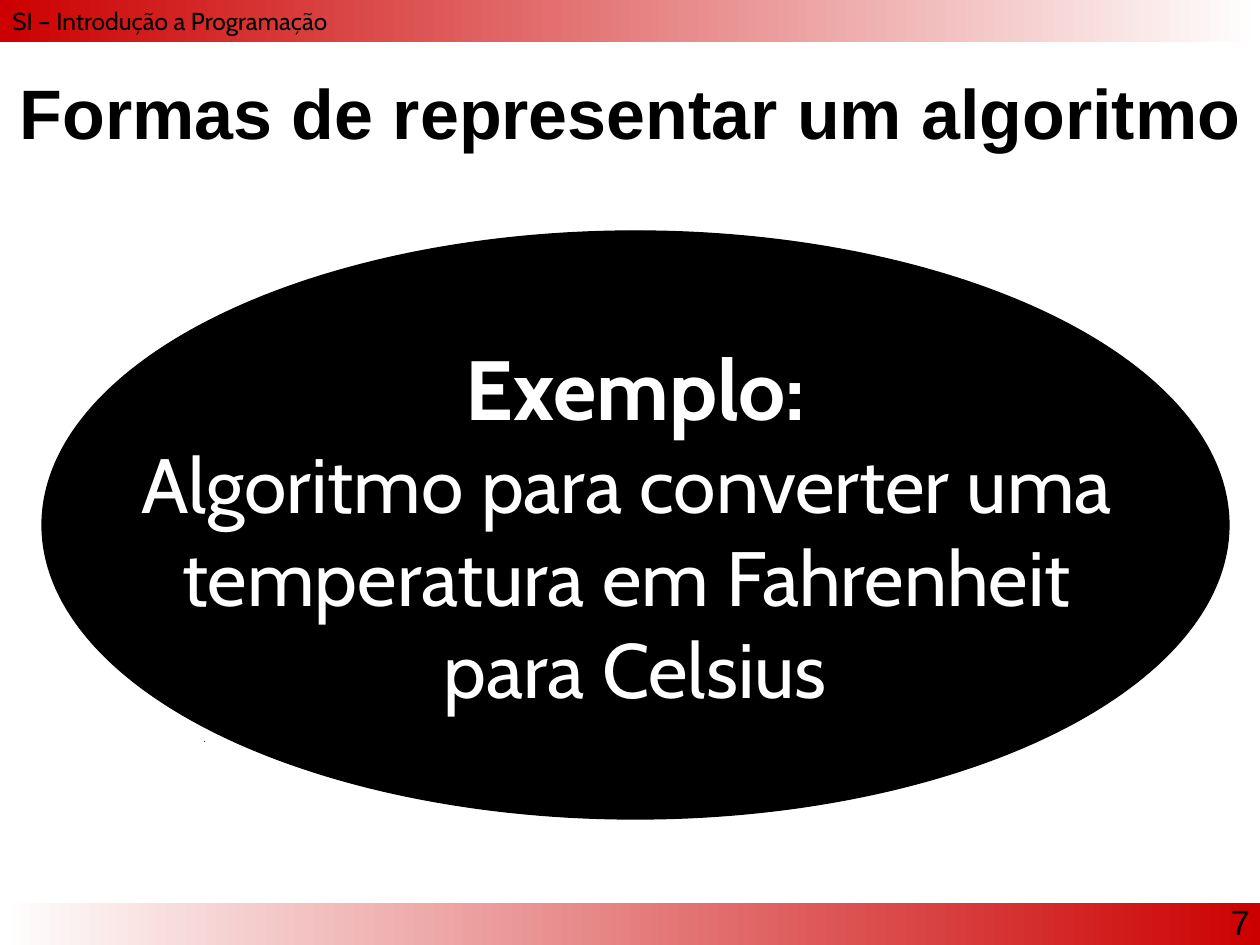
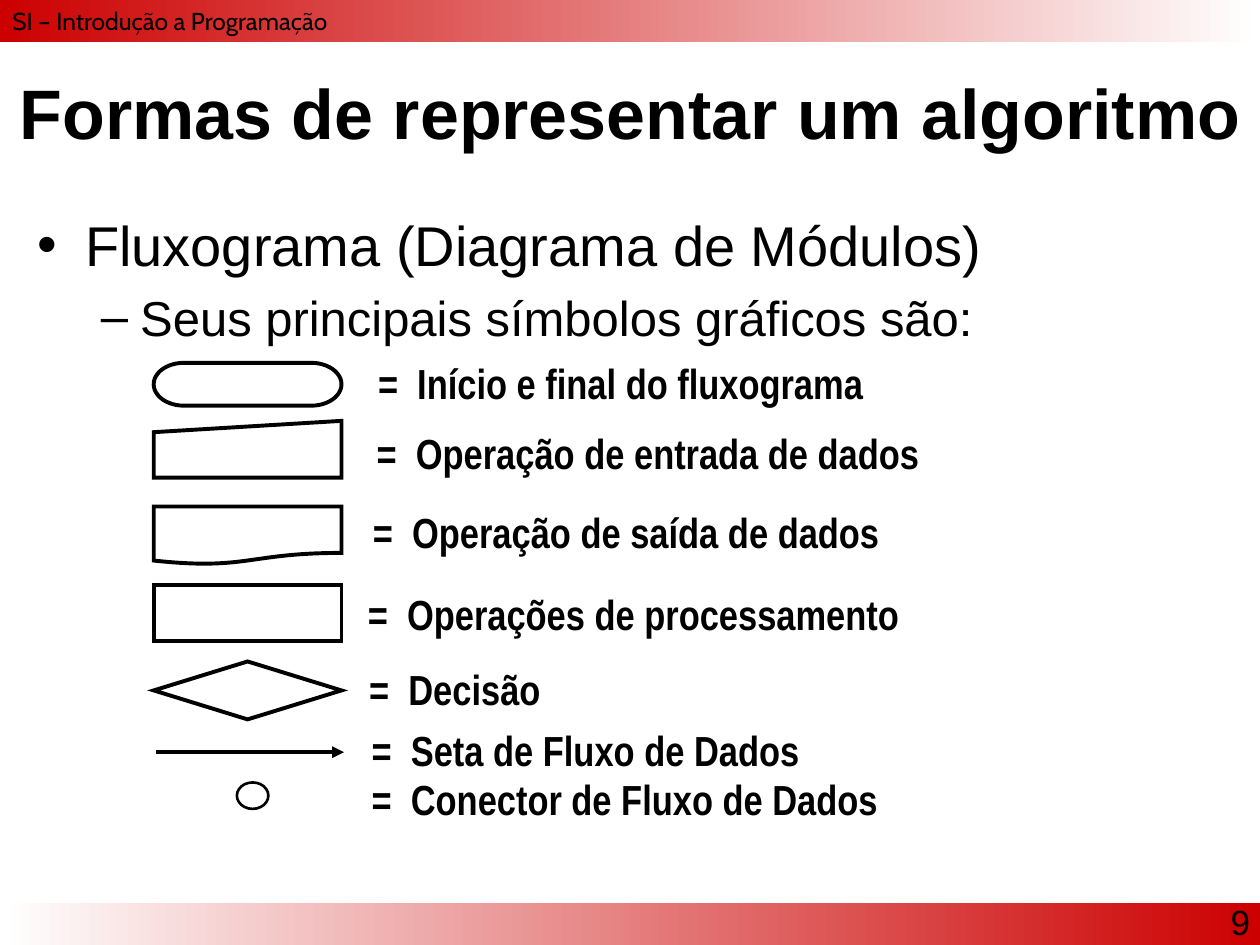
from lxml import etree
from pptx import Presentation
from pptx.dml.color import RGBColor
from pptx.enum.shapes import MSO_CONNECTOR, MSO_SHAPE as SHAPE
from pptx.enum.text import MSO_ANCHOR as ANCHOR, PP_ALIGN as ALIGN
from pptx.oxml.ns import qn
from pptx.util import Inches, Pt

BLACK, WHITE, RED = "000000", "FFFFFF", "CC0000"
TITLE = "Formas de representar um algoritmo"
TITLE_ONLY, TITLE_AND_BODY = 5, 1
BAND_HEIGHT = Inches(1 / 3)


def rgb(color):
    """Turn a hex string into a colour."""
    return RGBColor.from_string(color)


def add_run(para, text, size, font, color=BLACK, bold=False):
    """Add one formatted run to a paragraph."""
    span = para.add_run()
    span.text = text
    span.font.size = Pt(size)
    span.font.name = font
    span.font.bold = bold
    span.font.color.rgb = rgb(color)


deck = Presentation()
deck.slide_width, deck.slide_height = Inches(10), Inches(7.5)
example = deck.slides.add_slide(deck.slide_layouts[TITLE_ONLY])
flowchart = deck.slides.add_slide(deck.slide_layouts[TITLE_AND_BODY])

# Bands and course name: drawn once, then moved to the slide master
master_tree = deck.slide_master.shapes.element
for top, start, end in [(deck.slide_height - BAND_HEIGHT, WHITE, RED), (0, RED, WHITE)]:
    band = example.shapes.add_shape(
        SHAPE.RECTANGLE, Inches(0), top, deck.slide_width, BAND_HEIGHT)
    band.shadow.inherit = False
    band.line.fill.background()
    band.fill.gradient()
    band.fill.gradient_angle = 0
    for stop, position, color in zip(band.fill.gradient_stops, (0, 1), (start, end)):
        stop.position = position
        stop.color.rgb = rgb(color)
    master_tree.append(band.element)

course = example.shapes.add_textbox(Inches(0), Inches(0), Inches(10), Inches(0.5))
course.text_frame.word_wrap = True
add_run(course.text_frame.paragraphs[0], "SI – Introdução a Programação", 14, "Cabin")
master_tree.append(course.element)

# Title and page number
for page, number in [(example, "7"), (flowchart, "9")]:
    title = page.shapes.title
    title.left, title.top = Inches(0), Inches(0.52)
    title.width, title.height = Inches(10), Inches(0.73)
    title.text_frame.vertical_anchor = ANCHOR.MIDDLE
    para = title.text_frame.paragraphs[0]
    para.alignment = ALIGN.CENTER
    add_run(para, TITLE, 40, "Arial", bold=True)

    box = page.shapes.add_textbox(Inches(8.67), Inches(7.1), Inches(1.35), Inches(0.5))
    box.text_frame.word_wrap = True
    para = box.text_frame.paragraphs[0]
    para.alignment = ALIGN.RIGHT
    add_run(para, number, 20, "Arial")

# Slide 1: ink specks, then the example in an ellipse
for left, top in [(1.54, 5.71), (1.73, 5.74), (1.62, 5.88)]:
    outline = example.shapes.build_freeform(Inches(left), Inches(top))
    outline.add_line_segments([
        (Inches(left + 0.01), Inches(top)), (Inches(left), Inches(top + 0.01))])
    speck = outline.convert_to_shape()
    speck.shadow.inherit = False
    speck.fill.solid()
    speck.fill.fore_color.rgb = rgb(BLACK)
    speck.line.fill.background()

ellipse = example.shapes.add_shape(
    SHAPE.OVAL, Inches(1 / 3), Inches(11 / 6), Inches(9.42), Inches(14 / 3))
ellipse.shadow.inherit = False
ellipse.fill.solid()
ellipse.fill.fore_color.rgb = rgb(BLACK)
ellipse.line.color.rgb = rgb(BLACK)
ellipse.line.width = Pt(0.75)
frame = ellipse.text_frame
frame.word_wrap = False
frame.vertical_anchor = ANCHOR.MIDDLE
heading = frame.paragraphs[0]
heading.alignment = ALIGN.CENTER
add_run(heading, "Exemplo:", 48, "Cabin", WHITE, bold=True)
task = frame.add_paragraph()
task.alignment = ALIGN.CENTER
add_run(task, "Algoritmo para converter uma ", 44, "Cabin", WHITE)
for line in ["temperatura em Fahrenheit ", "para Celsius"]:
    task.add_line_break()
    add_run(task, line, 44, "Cabin", WHITE)

# Slide 2: list, then the flowchart symbols with their meanings
body = flowchart.placeholders[1]
body.left, body.top = Inches(0.2), Inches(1.62)
body.width, body.height = Inches(9.53), Inches(5.46)
topic = body.text_frame.paragraphs[0]
add_run(topic, "Fluxograma (Diagrama de Módulos)", 32, "Arial")
detail = body.text_frame.add_paragraph()
detail.level = 1
add_run(detail, "Seus principais símbolos gráficos são:", 28, "Arial")

meanings = [
    ("Início e final do fluxograma", 2.99, 2.83, 4.68, 0.32),
    ("Operação de entrada de dados", 2.98, 3.38, 5.37, 0.32),
    ("Operação de saída de dados", 2.95, 4.01, 6.43, 0.31),
    ("Operações de processamento", 2.91, 4.66, 4.34, 0.3),
    ("Decisão", 2.92, 5.26, 6.33, 0.32),
    ("Seta de Fluxo de Dados", 2.94, 5.74, 6.33, 0.26),
    ("Conector de Fluxo de Dados", 2.94, 6.13, 6.33, 0.26),
]
for meaning, left, top, width, height in meanings:
    box = flowchart.shapes.add_textbox(
        Inches(left), Inches(top), Inches(width), Inches(height))
    frame = box.text_frame
    frame.word_wrap = True
    frame.margin_left = frame.margin_right = Inches(0.01)
    frame.margin_top = frame.margin_bottom = Inches(0.01)
    add_run(frame.paragraphs[0], "=  " + meaning, 24, "Arial Narrow", bold=True)

symbols = [
    (SHAPE.FLOWCHART_TERMINATOR, 1.22, 2.88, 1.49, 0.34, 2.25),
    (SHAPE.FLOWCHART_MANUAL_INPUT, 1.22, 3.34, 1.49, 0.45, 2.25),
    (SHAPE.FLOWCHART_DOCUMENT, 1.22, 4.02, 1.49, 0.46, 2.25),
    (SHAPE.FLOWCHART_PROCESS, 1.22, 4.64, 1.49, 0.45, 2.25),
    (SHAPE.FLOWCHART_DECISION, 1.22, 5.25, 1.49, 0.46, 2.25),
    (SHAPE.FLOWCHART_CONNECTOR, 1.88, 6.21, 0.25, 0.21, 1.5),
]
for kind, left, top, width, height, weight in symbols:
    symbol = flowchart.shapes.add_shape(
        kind, Inches(left), Inches(top), Inches(width), Inches(height))
    symbol.shadow.inherit = False
    if kind == SHAPE.FLOWCHART_CONNECTOR:
        symbol.fill.background()
    else:
        symbol.fill.solid()
        symbol.fill.fore_color.rgb = rgb(WHITE)
    symbol.line.color.rgb = rgb(BLACK)
    symbol.line.width = Pt(weight)
    # Sharp corners
    etree.SubElement(symbol.element.spPr.find(qn("a:ln")), qn("a:miter"), lim="800000")

arrow = flowchart.shapes.add_connector(
    MSO_CONNECTOR.STRAIGHT, Inches(1.24), Inches(5.97), Inches(2.73), Inches(5.97))
arrow.line.color.rgb = rgb(BLACK)
arrow.line.width = Pt(2.25)
etree.SubElement(arrow.element.spPr.find(qn("a:ln")), qn("a:tailEnd"), type="triangle")
etree.SubElement(arrow.element.spPr, qn("a:effectLst"))

deck.save("out.pptx")
